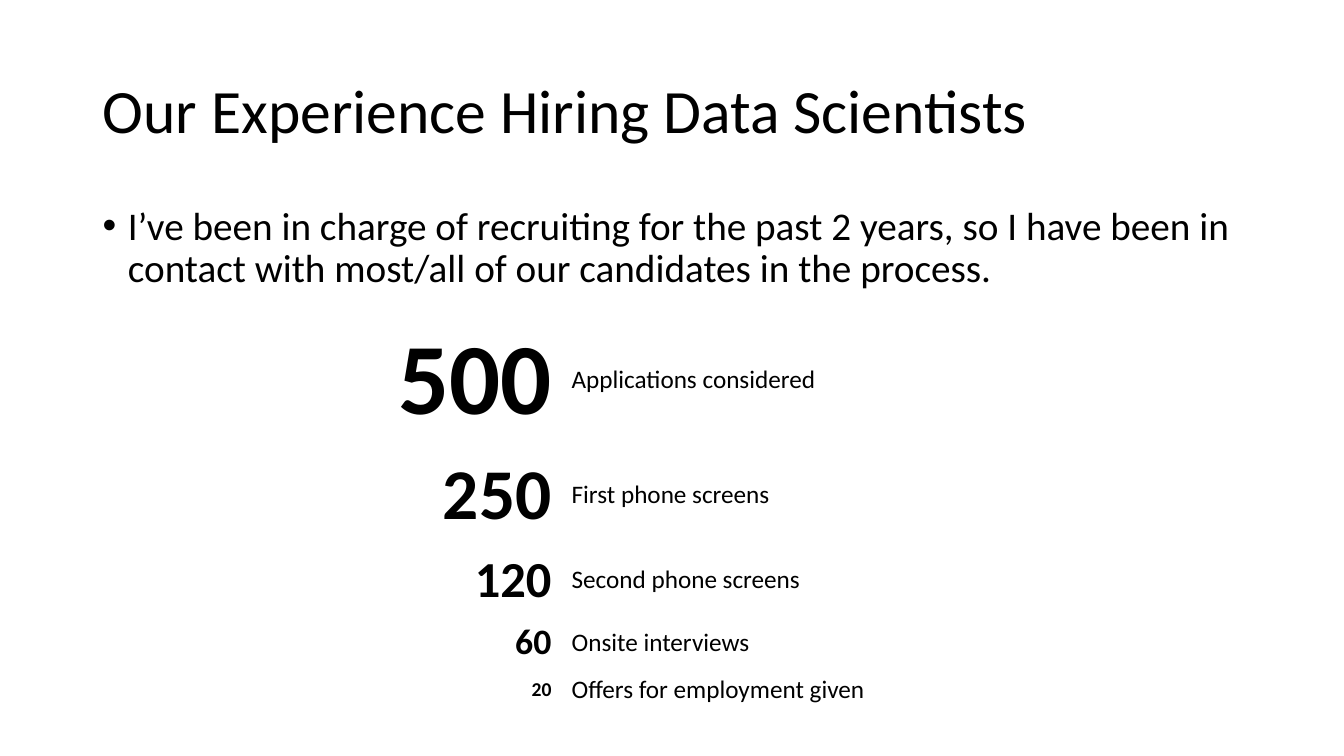
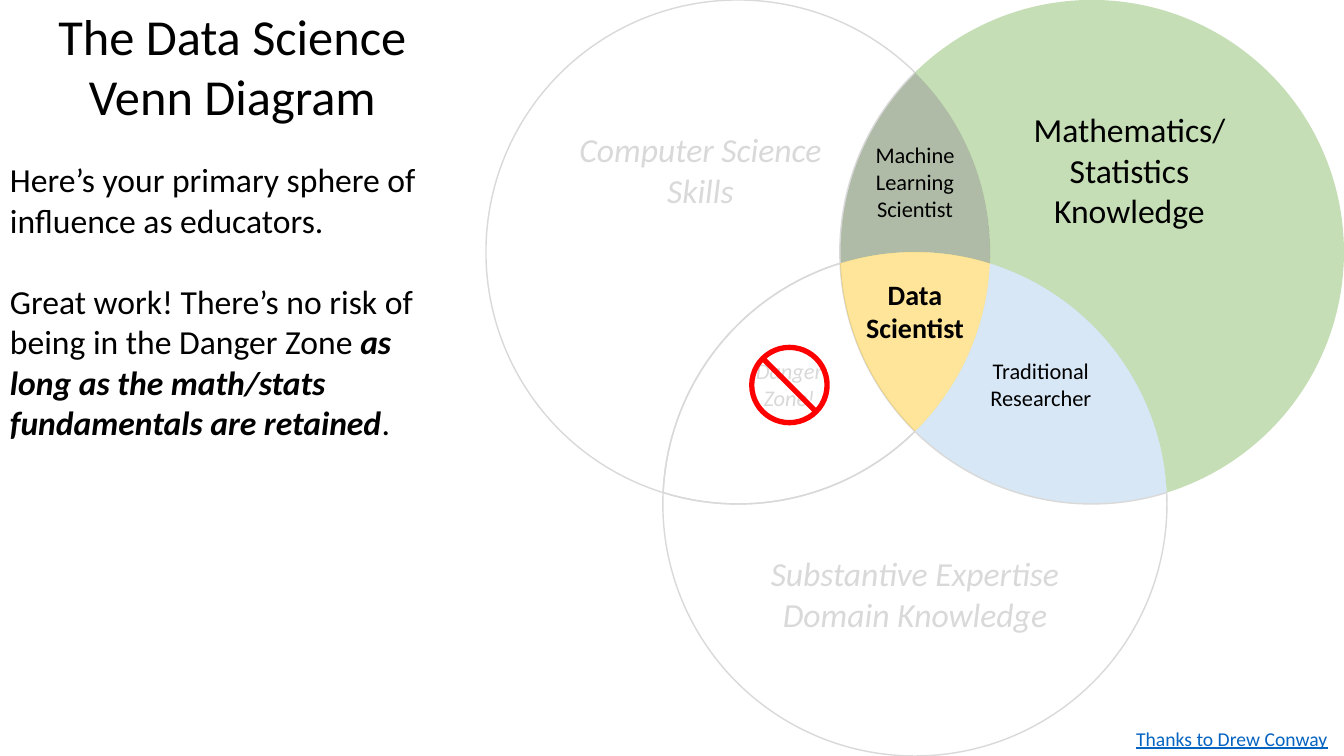
import math
from lxml import etree
from pptx import Presentation
from pptx import util as u
from pptx.dml.color import RGBColor
from pptx.enum import shapes, text
from pptx.oxml.ns import qn

WIDTH, HEIGHT = 13.33, 7.5
MARGIN = 0.92
FONT = "Calibri"
LINE_HEIGHT = 1.22  # line height as a share of the font size
COLORS = {
    "text": "000000", "muted": "D9D9D9", "link": "0563C1", "stop": "FF0000",
    "machine": "385723", "research": "9DC3E6", "math": "70AD47", "data": "FFC000",
}
LEFT, CENTER, RIGHT = text.PP_ALIGN.LEFT, text.PP_ALIGN.CENTER, text.PP_ALIGN.RIGHT
TOP, MIDDLE = text.MSO_ANCHOR.TOP, text.MSO_ANCHOR.MIDDLE

# Content
HIRING_TITLE = "Our Experience Hiring Data Scientists"
HIRING_NOTE = ("I’ve been in charge of recruiting for the past 2 years, so I have been in "
               "contact with most/all of our candidates in the process.")
FUNNEL = [  # count, font size, label
    ("500", 72, "Applications considered"),
    ("250", 51, "First phone screens"),
    ("120", 36, "Second phone screens"),
    ("60", 25.5, "Onsite interviews"),
    ("20", 14, "Offers for employment given"),
]
LABEL_SIZE = 18
VENN_TITLE = "The Data Science Venn Diagram"
VENN_NOTES = [  # runs: text, style
    [("Here’s your primary sphere of influence as educators.", {})],
    [("Great work! There’s no risk of being in the Danger Zone ", {}),
     ("as long as the math/stats fundamentals are retained", {"bold": True, "italic": True}),
     (".", {})],
]
CREDIT = "Thanks to Drew Conway"

# Venn circles: A computer science, B mathematics, C domain knowledge
RADIUS = HEIGHT / 3
SPREAD = 3.51
RIGHT_X = WIDTH - RADIUS
CIRCLES = {
    "A": (RIGHT_X - SPREAD, RADIUS),
    "B": (RIGHT_X, RADIUS),
    "C": (RIGHT_X - SPREAD / 2, 2 * RADIUS),
}
# Each arc: start crossing (0 upper, 1 lower), circle, direction (+ is clockwise)
REGIONS = [
    {"lines": ["Machine", "Learning", "Scientist"], "size": 16, "fill": "machine", "push": 0.27,
     "arcs": ["AB0 A+", "AC0 C-", "BC0 B+"]},
    {"lines": ["Traditional", "Researcher"], "size": 16, "fill": "research",
     "arcs": ["AC0 C+", "BC1 B+", "AB1 A-"]},
    {"lines": ["Danger", "Zone!"], "size": 16,
     "arcs": ["BC0 B-", "AB1 A+", "AC1 C+"]},
    {"lines": ["Computer Science", "Skills"], "size": 24, "push": -1.52,
     "arcs": ["AC1 A+", "AB0 B-", "BC0 C-"]},
    {"lines": ["Mathematics/", "Statistics", "Knowledge"], "size": 24, "fill": "math", "push": -1.52,
     "arcs": ["AB0 B+", "BC1 C-", "AC0 A-"]},
    {"lines": ["Data", "Scientist"], "size": 20, "fill": "data", "push": -0.61, "bold": True,
     "arcs": ["BC0 C+", "AC0 A+", "AB1 B+"]},
    {"lines": ["Substantive Expertise", "Domain Knowledge"], "size": 24,
     "arcs": ["AB1 B-", "BC1 C+", "AC1 A-"]},
]


def rgb(name):
    return RGBColor.from_string(COLORS[name])


def place(shape, left, top, width, height):
    shape.left, shape.top = u.Inches(left), u.Inches(top)
    shape.width, shape.height = u.Inches(width), u.Inches(height)


def add_run(paragraph, words, size, color="text", bold=False, italic=False, underline=False):
    run = paragraph.add_run()
    run.text = words
    font = run.font
    font.name, font.size, font.color.rgb = FONT, u.Pt(size), rgb(color)
    font.bold, font.italic, font.underline = bold, italic, underline


def write(frame, paragraphs, size, align=LEFT, anchor=TOP, spacing=1.0, gap=0, **style):
    """Fill a frame with paragraphs, each a list of (text, style) runs."""
    frame.word_wrap, frame.auto_size = True, text.MSO_AUTO_SIZE.NONE
    frame.vertical_anchor = anchor
    for index, runs in enumerate(paragraphs):
        paragraph = frame.add_paragraph() if index else frame.paragraphs[0]
        paragraph.alignment, paragraph.line_spacing = align, spacing
        paragraph.space_before = u.Pt(gap if index else 0)
        for words, own_style in runs:
            add_run(paragraph, words, size, **{**style, **own_style})


def add_text(slide, box, paragraphs, size, **options):
    shape = slide.shapes.add_textbox(*map(u.Inches, box))
    write(shape.text_frame, paragraphs, size, **options)
    return shape


def add_titled_slide(presentation, title, box, size, **options):
    slide = presentation.slides.add_slide(presentation.slide_layouts[5])
    place(slide.shapes.title, *box)
    write(slide.shapes.title.text_frame, [[(title, {})]], size, **options)
    return slide


def add_bullet(paragraph, indent):
    properties = paragraph._p.get_or_add_pPr()
    properties.set("marL", str(u.Inches(indent)))
    properties.set("indent", str(-u.Inches(indent)))
    etree.SubElement(properties, qn("a:buFont")).set("typeface", "Arial")
    etree.SubElement(properties, qn("a:buChar")).set("char", "•")


def add_funnel(slide, left, top, columns):
    heights = [max(size, LABEL_SIZE) * LINE_HEIGHT / 72 + 0.1 for _, size, _ in FUNNEL]
    frame = slide.shapes.add_table(len(FUNNEL), len(columns), u.Inches(left), u.Inches(top),
                                   u.Inches(sum(columns)), u.Inches(sum(heights)))
    table = frame.table
    table.first_row = table.horz_banding = False
    for column, width in zip(table.columns, columns):
        column.width = u.Inches(width)
    for index, (count, size, label) in enumerate(FUNNEL):
        table.rows[index].height = u.Inches(heights[index])
        cells = [(count, size, RIGHT, True), (label, LABEL_SIZE, LEFT, False)]
        for column, (words, font_size, align, bold) in enumerate(cells):
            cell = table.cell(index, column)
            cell.fill.background()
            cell.vertical_anchor = MIDDLE
            paragraph = cell.text_frame.paragraphs[0]
            paragraph.alignment = align
            add_run(paragraph, words, font_size, bold=bold)


def crossing(name):
    """Point where two circles meet, such as AB0 for the upper one of A and B."""
    (x1, y1), (x2, y2) = CIRCLES[name[0]], CIRCLES[name[1]]
    distance = math.hypot(x2 - x1, y2 - y1)
    reach = math.sqrt(RADIUS ** 2 - distance ** 2 / 4) / distance
    points = [((x1 + x2) / 2 + side * reach * (y2 - y1),
               (y1 + y2) / 2 - side * reach * (x2 - x1)) for side in (-1, 1)]
    return sorted(points, key=lambda point: point[1])[int(name[2])]


def arc_pieces(circle, start, end, sign):
    """Split an arc at its quarter points into (end point, start angle, sweep)."""
    x, y = CIRCLES[circle]
    first, last = (math.degrees(math.atan2(py - y, px - x)) for px, py in (start, end))
    last = first + sign * ((sign * (last - first)) % 360)
    low, high = min(first, last), max(first, last)
    quarters = [angle for angle in range(-720, 721, 90) if low < angle < high]
    angles = [first] + quarters[::sign] + [last]
    return [((x + RADIUS * math.cos(math.radians(b)), y + RADIUS * math.sin(math.radians(b))),
             a, b - a) for a, b in zip(angles, angles[1:])]


def add_outline(slide, region):
    arcs = [arc.split() for arc in region["arcs"]]
    starts = [crossing(name) for name, _ in arcs]
    pieces = []
    for index, (_, turn) in enumerate(arcs):
        end = starts[(index + 1) % len(arcs)]
        pieces += arc_pieces(turn[0], starts[index], end, 1 if turn[1] == "+" else -1)
    builder = slide.shapes.build_freeform(*map(u.Inches, starts[0]), scale=1.0)
    builder.add_line_segments([tuple(map(u.Inches, point)) for point, _, _ in pieces], close=True)
    shape = builder.convert_to_shape()
    # Bend each straight segment into a circular arc
    segments = list(shape._element.iter(qn("a:lnTo")))
    for segment, (_, angle, sweep) in zip(segments, pieces):
        arc = etree.Element(qn("a:arcTo"))
        values = {"wR": u.Inches(RADIUS), "hR": u.Inches(RADIUS),
                  "stAng": round(angle % 360 * 60000), "swAng": round(sweep * 60000)}
        for key, value in values.items():
            arc.set(key, str(value))
        segment.getparent().replace(segment, arc)
    return shape


def add_region(slide, region):
    shape = add_outline(slide, region)
    shape.shadow.inherit = False
    filled = "fill" in region
    if filled:
        shape.fill.solid()
        shape.fill.fore_color.rgb = rgb(region["fill"])
        color = shape.fill._xPr.find(qn("a:solidFill"))[0]
        etree.SubElement(color, qn("a:alpha")).set("val", "40000")
        shape.line.fill.background()
    else:
        shape.fill.background()
        shape.line.color.rgb, shape.line.width = rgb("muted"), u.Pt(1)
    # Insets shift the label up or down
    push = region.get("push", 0)
    frame = shape.text_frame
    frame.margin_top = u.Inches(0.05 + max(push, 0))
    frame.margin_bottom = u.Inches(0.05 + max(-push, 0))
    write(frame, [[(line, {})] for line in region["lines"]], region["size"], align=CENTER,
          anchor=MIDDLE, color="text" if filled else "muted", italic=not filled,
          bold=region.get("bold", False))


def build_hiring(presentation):
    content_width = WIDTH - 2 * MARGIN
    slide = add_titled_slide(presentation, HIRING_TITLE, (MARGIN, 0.4, content_width, 1.45), 44,
                             anchor=MIDDLE, spacing=0.9)
    note = add_text(slide, (MARGIN, 2, content_width, 0.96), [[(HIRING_NOTE, {})]], 28, spacing=0.9)
    add_bullet(note.text_frame.paragraphs[0], 0.25)
    add_funnel(slide, 3.75, 3.11, (1.82, 4.87))


def build_venn(presentation):
    panel = 4.61
    slide = add_titled_slide(presentation, VENN_TITLE, (0, 0, panel, 1.32), 36, align=CENTER)
    for region in REGIONS:
        add_region(slide, region)
    add_text(slide, (11.17, 7.16, 2.16, 0.34), [[(CREDIT, {})]], 14, color="link", underline=True)
    # Stop sign over the danger zone
    sign = slide.shapes.add_shape(shapes.MSO_SHAPE.NO_SYMBOL,
                                  *map(u.Inches, (7.43, 3.42, 0.8, 0.8)))
    sign.adjustments[0] = 0.066
    sign.shadow.inherit = False
    sign.fill.solid()
    sign.fill.fore_color.rgb = rgb("stop")
    sign.line.fill.background()
    add_text(slide, (0, 1.53, panel, 2.91), VENN_NOTES, 24, gap=24 * LINE_HEIGHT)


def main():
    presentation = Presentation()
    presentation.slide_width, presentation.slide_height = u.Inches(WIDTH), u.Inches(HEIGHT)
    build_hiring(presentation)
    build_venn(presentation)
    presentation.save("out.pptx")


if __name__ == "__main__":
    main()
